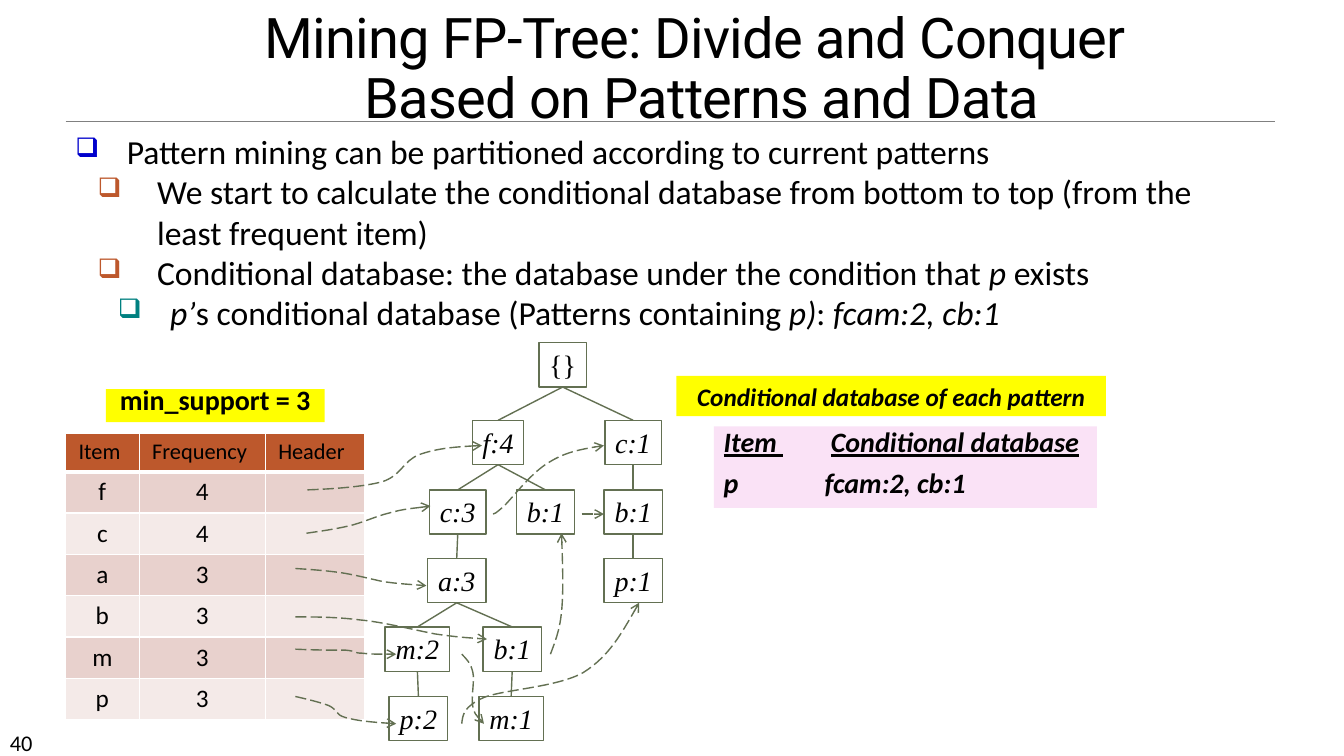
import pptx
import pptx.util
import pptx.dml.color
import pptx.enum.dml
import pptx.enum.shapes
import pptx.enum.text
import pptx.oxml
import pptx.oxml.ns
import lxml.etree
from dataclasses import dataclass

Inches = pptx.util.Inches
Pt = pptx.util.Pt
Align = pptx.enum.text.PP_ALIGN
Anchor = pptx.enum.text.MSO_ANCHOR
qn = pptx.oxml.ns.qn


@dataclass(frozen=True)
class Theme:
    black: str = "000000"
    rule: str = "808080"
    tree: str = "637052"
    yellow: str = "FFFF00"
    pink: str = "FAE2F6"
    header: str = "BD582C"
    bands: tuple = ("E8D1CD", "F4EAE8")
    border: str = "FFFFFF"
    bullets: tuple = ("0000CC", "BD582C", "008080")
    heading_font: str = "Roboto"
    body_font: str = "Calibri"
    tree_font: str = "Times New Roman"
    title: int = 40
    body: int = 24
    label: int = 20
    cell: int = 18
    small: int = 16


def rgb(value):
    return pptx.dml.color.RGBColor.from_string(value)


def add_xml(parent, tag, **attributes):
    return lxml.etree.SubElement(parent, qn(tag), attributes)


class SlideBuilder:
    def __init__(self, slide, theme):
        self.slide, self.theme = slide, theme

    def add_runs(self, paragraph, runs, size, font=None):
        """Runs are (text, flags) pairs; flags combine b, i and u."""
        for text, flags in runs:
            run = paragraph.add_run()
            run.text = text
            run.font.name = font or self.theme.body_font
            run.font.size = Pt(size)
            run.font.color.rgb = rgb(self.theme.black)
            run.font.bold, run.font.italic = "b" in flags, "i" in flags
            run.font.underline = "u" in flags

    def text_box(self, left, top, width, height, anchor=Anchor.TOP):
        frame = self.slide.shapes.add_textbox(
            Inches(left), Inches(top), Inches(width), Inches(height)).text_frame
        frame.word_wrap = True
        frame.vertical_anchor = anchor
        return frame

    def bullet(self, paragraph, level, indent, hanging):
        properties = paragraph._p.get_or_add_pPr()
        properties.set("marL", str(Inches(indent)))
        properties.set("indent", str(-Inches(hanging)))
        color = add_xml(properties, "a:buClr")
        add_xml(color, "a:srgbClr", val=self.theme.bullets[level])
        add_xml(properties, "a:buSzPct", val="80000")
        add_xml(properties, "a:buChar", char="❑")
        paragraph.level = level

    def rectangle(self, left, top, width, height, fill=None, line=None):
        box = self.slide.shapes.add_shape(
            pptx.enum.shapes.MSO_SHAPE.RECTANGLE,
            Inches(left), Inches(top), Inches(width), Inches(height))
        box.shadow.inherit = False
        if fill:
            box.fill.solid()
            box.fill.fore_color.rgb = rgb(fill)
        else:
            box.fill.background()
        if line:
            box.line.color.rgb = rgb(line)
            box.line.width = Pt(1)
        else:
            box.line.fill.background()
        box.text_frame.vertical_anchor = Anchor.TOP
        return box

    def node(self, label, center, top, width, flags="i"):
        box = self.rectangle(center - width / 2, top, width, 0.44, line=self.theme.tree)
        box.text_frame.word_wrap = False
        paragraph = box.text_frame.paragraphs[0]
        paragraph.alignment = Align.CENTER
        self.add_runs(paragraph, [(label, flags)], self.theme.label, self.theme.tree_font)
        return box

    def line(self, start=(0, 0), end=(0, 0), color=None, width=1):
        x1, y1, x2, y2 = (Inches(value) for value in (*start, *end))
        connector = self.slide.shapes.add_connector(
            pptx.enum.shapes.MSO_CONNECTOR.STRAIGHT, x1, y1, x2, y2)
        connector.line.color.rgb = rgb(color or self.theme.tree)
        connector.line.width = Pt(width)
        add_xml(connector._element.spPr, "a:effectLst")
        return connector

    def branch(self, parent, child):
        edge = self.line()
        edge.begin_connect(parent, 2)
        edge.end_connect(child, 0)

    def dashed_arrow(self, line):
        line.dash_style = pptx.enum.dml.MSO_LINE.LONG_DASH
        add_xml(line._get_or_add_ln(), "a:tailEnd", type="arrow")

    def curved_arrow(self, points):
        """Start point, then three points for each cubic segment."""
        (x, y), *rest = [(Inches(px), Inches(py)) for px, py in points]
        builder = self.slide.shapes.build_freeform(x, y)
        builder.add_line_segments(rest, close=False)
        arrow = builder.convert_to_shape()
        outline = next(arrow._element.iter(qn("a:moveTo"))).getparent()
        corners = outline.findall(qn("a:lnTo"))
        for index, corner in enumerate(corners):
            if index % 3 == 0:
                curve = add_xml(outline, "a:cubicBezTo")
            curve.append(corner[0])
            outline.remove(corner)
        arrow.shadow.inherit = False
        arrow.fill.background()
        arrow.line.color.rgb = rgb(self.theme.tree)
        arrow.line.width = Pt(1)
        self.dashed_arrow(arrow.line)

    def cell(self, cell, text, size, fill, alignment, bottom=1):
        cell.margin_left = cell.margin_right = Inches(0.13)
        properties = cell._tc.get_or_add_tcPr()
        for side, width in (("L", 1), ("R", 1), ("T", 1), ("B", bottom)):
            edge = add_xml(properties, f"a:ln{side}", w=str(Pt(width)))
            add_xml(add_xml(edge, "a:solidFill"), "a:srgbClr", val=self.theme.border)
        cell.fill.solid()
        cell.fill.fore_color.rgb = rgb(fill)
        if text:
            paragraph = cell.text_frame.paragraphs[0]
            paragraph.alignment = alignment
            self.add_runs(paragraph, [(text, "")], size)

    def table(self, left, top, widths, heights, rows):
        grid = self.slide.shapes.add_table(
            len(rows), len(widths), Inches(left), Inches(top),
            Inches(sum(widths)), Inches(sum(heights))).table
        for column, width in zip(grid.columns, widths):
            column.width = Inches(width)
        for r, (values, height) in enumerate(zip(rows, heights)):
            grid.rows[r].height = Inches(height)
            style = ((self.theme.cell, self.theme.bands[(r - 1) % 2], Align.CENTER) if r
                     else (self.theme.small, self.theme.header, Align.LEFT, 3))
            for c, value in enumerate(values):
                self.cell(grid.cell(r, c), value, *style)


def main():
    deck = pptx.Presentation()
    deck.slide_width, deck.slide_height = Inches(13.33), Inches(7.5)
    theme = Theme()
    page = SlideBuilder(deck.slides.add_slide(deck.slide_layouts[6]), theme)

    # Rule, page number and title
    page.line((0.65, 1.2), (12.65, 1.2), theme.rule, 0.5)
    number = page.text_box(0, 7.18, 1.17, 0.3)
    page.add_runs(number.paragraphs[0], [("40", "")], theme.small)
    title = page.text_box(1.52, -0.09, 10.88, 1.44, Anchor.BOTTOM).paragraphs[0]
    title.alignment, title.line_spacing = Align.CENTER, 0.9
    page.add_runs(title, [("Mining FP-Tree: Divide and Conquer ", "")], theme.title, theme.heading_font)
    title.add_line_break()
    page.add_runs(title, [("Based on Patterns and Data", "")], theme.title, theme.heading_font)
    for run in title.runs:
        run.font._element.set("spc", "-50")

    # Bulleted outline
    outline = page.text_box(0.65, 1.25, 11.67, 2.15)
    indents = [(0.51, 0.51), (0.81, 0.59), (0.94, 0.52)]
    points = [
        (0, [("Pattern mining can be partitioned according to current patterns", "")]),
        (1, [("We start to calculate the conditional database from bottom to top "
              "(from the least frequent item)", "")]),
        (1, [("Conditional database: the database under the condition that ", ""),
             ("p", "i"), (" exists", "")]),
        (2, [("p’", "i"), ("s conditional database (Patterns containing ", ""),
             ("p)", "i"), (": ", ""), ("fcam:2, cb:1", "i")]),
    ]
    for index, (level, runs) in enumerate(points):
        point = outline.add_paragraph() if index else outline.paragraphs[0]
        page.bullet(point, level, *indents[level])
        page.add_runs(point, runs, theme.body)

    # Header table
    frequencies = [(item, count, "") for item, count in zip("fcabmp", "443333")]
    page.table(0.65, 4.3, [0.73, 1.25, 0.99], [0.38] + [0.41] * 6,
               [("Item", "Frequency", "Header")] + frequencies)

    # FP-tree: key, label, parent, level, centre, width
    nodes = {"root": page.node("{}", 5.58, 3.4, 0.47, "")}
    for key, label, parent, level, center, width in [
            ("f", "f:4", "root", 0, 4.94, 0.51), ("c right", "c:1", "root", 0, 6.28, 0.56),
            ("b right", "b:1", "c right", 1, 6.28, 0.58), ("p right", "p:1", "b right", 2, 6.28, 0.58),
            ("b middle", "b:1", "f", 1, 5.41, 0.58), ("c", "c:3", "f", 1, 4.54, 0.56),
            ("a", "a:3", "c", 2, 4.53, 0.58), ("b", "b:1", "a", 3, 5.08, 0.58),
            ("m", "m:2", "a", 3, 4.14, 0.64), ("p", "p:2", "m", 4, 4.15, 0.58),
            ("m right", "m:1", "b", 4, 5.07, 0.64)]:
        nodes[key] = page.node(label, center, round(4.17 + 0.685 * level, 2), width)
        page.branch(nodes[parent], nodes[key])

    # Header links and node links
    for link in [
            [(3.05, 4.86), (3.32, 4.85), (3.6, 4.83), (3.79, 4.78), (3.98, 4.72),
             (4, 4.57), (4.16, 4.51), (4.33, 4.45), (4.55, 4.43), (4.78, 4.42)],
            [(4.89, 5.1), (4.9, 5.1), (4.91, 5.1), (5, 5.02), (5.09, 4.93),
             (5.27, 4.69), (5.44, 4.59), (5.6, 4.49), (5.79, 4.45), (5.99, 4.42)],
            [(2.93, 5.64), (3.08, 5.65), (3.22, 5.66), (3.37, 5.68), (3.51, 5.7),
             (3.66, 5.74), (3.8, 5.77), (3.94, 5.79), (4.09, 5.8), (4.23, 5.81)],
            [(2.93, 6.12), (3.13, 6.12), (3.33, 6.12), (3.57, 6.15), (3.8, 6.17),
             (4.11, 6.25), (4.32, 6.29), (4.53, 6.32), (4.68, 6.33), (4.83, 6.34)],
            [(5.46, 6.49), (5.5, 6.38), (5.55, 6.27), (5.57, 6.07), (5.59, 5.87),
             (5.58, 5.58), (5.57, 5.29)],
            [(2.93, 6.44), (3.13, 6.45), (3.32, 6.45), (3.43, 6.45), (3.54, 6.46),
             (3.51, 6.48), (3.59, 6.48), (3.68, 6.49), (3.8, 6.49), (3.93, 6.49)],
            [(4.58, 6.49), (4.63, 6.54), (4.67, 6.58), (4.69, 6.67), (4.71, 6.75),
             (4.67, 6.92), (4.69, 7.01), (4.71, 7.09), (4.76, 7.14), (4.8, 7.18)],
            [(2.93, 6.91), (3.06, 6.94), (3.18, 6.97), (3.26, 7), (3.35, 7.04),
             (3.32, 7.09), (3.43, 7.12), (3.54, 7.15), (3.73, 7.17), (3.93, 7.18)],
            [(4.58, 7.18), (4.59, 7.09), (4.6, 7.01), (4.8, 6.92), (5, 6.84),
             (5.53, 6.82), (5.79, 6.67), (6.04, 6.51), (6.19, 6.24), (6.34, 5.98)],
            [(3.04, 5.29), (3.18, 5.27), (3.32, 5.25), (3.45, 5.22), (3.59, 5.19),
             (3.73, 5.12), (3.86, 5.09), (4, 5.05), (4.14, 5.04), (4.27, 5.02)]]:
        page.curved_arrow(link)
    page.dashed_arrow(page.line((5.77, 5.1), (5.99, 5.1)).line)

    # Conditional database
    database = page.rectangle(7.08, 4.23, 3.8, 0.81, theme.pink).text_frame
    database.word_wrap = True
    for index, runs in enumerate([
            [("Item ", "biu"), ("\t ", ""), ("Conditional database", "biu")],
            [("p\tfcam:2, cb:1", "bi")]]):
        entry = database.add_paragraph() if index else database.paragraphs[0]
        stops = add_xml(entry._p.get_or_add_pPr(), "a:tabLst")
        add_xml(stops, "a:tab", pos=str(Inches(1)), algn="l")
        entry.alignment, entry.line_spacing = Align.LEFT, 0.8
        if index:
            entry.space_before = Pt(10)
        page.add_runs(entry, runs, theme.label)

    # Yellow captions
    for bounds, caption, flags, size, spacing in [
            ((6.71, 3.73, 4.26, 0.4), "Conditional database of each pattern", "bi", theme.cell, 1.0),
            ((1.05, 3.86, 2.17, 0.33), "min_support = 3", "b", theme.label, 0.6)]:
        paragraph = page.rectangle(*bounds, theme.yellow).text_frame.paragraphs[0]
        paragraph.alignment, paragraph.line_spacing = Align.CENTER, spacing
        page.add_runs(paragraph, [(caption, flags)], size)

    deck.save("out.pptx")


if __name__ == "__main__":
    main()
